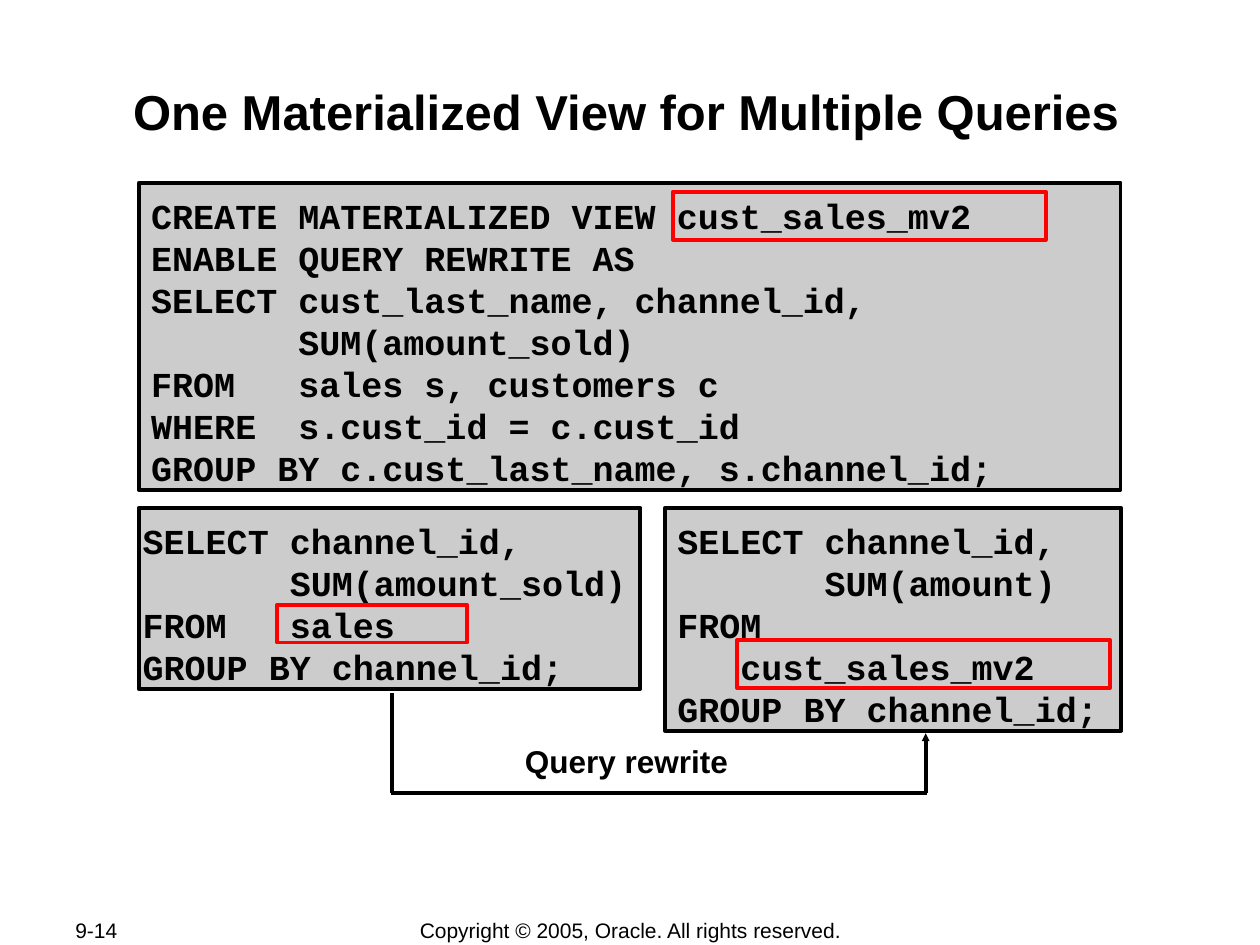
from dataclasses import dataclass

from lxml.etree import SubElement
from pptx import Presentation
from pptx.dml.color import RGBColor
from pptx.enum.shapes import MSO_CONNECTOR as Connector, MSO_SHAPE as Shape
from pptx.enum.text import MSO_ANCHOR as Anchor, MSO_AUTO_SIZE as AutoSize, PP_ALIGN as Align
from pptx.oxml.ns import qn
from pptx.util import Pt


@dataclass(frozen=True)
class Theme:
    ink: RGBColor = RGBColor(0, 0, 0)
    panel: RGBColor = RGBColor(0xCC, 0xCC, 0xCC)
    accent: RGBColor = RGBColor(0xFF, 0, 0)
    sans: str = "Arial"
    mono: str = "Courier New"
    title: float = 28
    code: float = 20
    label: float = 18
    footer: float = 12
    leading: float = 24
    line: float = 2.25


T = Theme()

VIEW_CODE = """CREATE MATERIALIZED VIEW cust_sales_mv2
ENABLE QUERY REWRITE AS
SELECT cust_last_name, channel_id,
       SUM(amount_sold)
FROM   sales s, customers c
WHERE  s.cust_id = c.cust_id
GROUP BY c.cust_last_name, s.channel_id;"""

QUERY_CODE = """SELECT channel_id,
       SUM(amount_sold)
FROM   sales
GROUP BY channel_id;"""

REWRITTEN_CODE = """SELECT channel_id,
       SUM(amount)
FROM
   cust_sales_mv2
GROUP BY channel_id;"""


def setup_frame(tf, insets, anchor=Anchor.TOP, wrap=True):
    tf.auto_size = AutoSize.NONE
    tf.word_wrap = wrap
    tf.vertical_anchor = anchor
    tf.margin_left, tf.margin_top, tf.margin_right, tf.margin_bottom = map(Pt, insets)


def add_run(p, text, font, size, bold=True):
    r = p.add_run()
    r.text = text
    r.font.name, r.font.size, r.font.bold = font, Pt(size), bold
    r.font.color.rgb = T.ink


def add_title(s, box, text):
    sp = s.shapes.title
    sp.left, sp.top, sp.width, sp.height = map(Pt, box)
    setup_frame(sp.text_frame, (0.7, 4.5, 0.7, 0.7))
    p = sp.text_frame.paragraphs[0]
    p.alignment = Align.CENTER
    add_run(p, text, T.sans, T.title)


def add_label(s, box, text, size, align, insets, anchor=Anchor.TOP, bold=True):
    tf = s.shapes.add_textbox(*map(Pt, box)).text_frame
    setup_frame(tf, insets, anchor, wrap=False)
    p = tf.paragraphs[0]
    p.alignment = align
    add_run(p, text, T.sans, size, bold)


def add_rect(s, box, line, fill=None):
    sp = s.shapes.add_shape(Shape.RECTANGLE, *map(Pt, box))
    sp.shadow.inherit = False
    if fill is None:
        sp.fill.background()
    else:
        sp.fill.solid()
        sp.fill.fore_color.rgb = fill
    sp.line.color.rgb, sp.line.width = line, Pt(T.line)
    return sp


def code_panel(s, x, y, w, code, highlight, inset=7.2):
    lines = code.split("\n")
    h = T.leading * len(lines) + 7.4
    tf = add_rect(s, (x, y, w, h), T.ink, T.panel).text_frame
    setup_frame(tf, (inset, 6.5, inset, 0.7))
    for i, text in enumerate(lines):
        p = tf.add_paragraph() if i else tf.paragraphs[0]
        p.alignment = Align.LEFT
        p.line_spacing = Pt(T.leading)
        add_run(p, text, T.mono, T.code)
    dx, dy, hw, hh = highlight
    add_rect(s, (x + dx, y + dy, hw, hh), T.accent)


def add_line(s, start, end, arrow=False):
    c = s.shapes.add_connector(Connector.STRAIGHT, *map(Pt, (*start, *end)))
    c.line.color.rgb, c.line.width = T.ink, Pt(T.line)
    if arrow:
        SubElement(c.line._get_or_add_ln(), qn("a:tailEnd"), type="triangle", w="sm", len="sm")
    SubElement(c._element.spPr, qn("a:effectLst"))


def rewrite_arrow(s, x, y, w, h, rise):
    bottom = y + h
    add_line(s, (x + w, bottom), (x + w, bottom - rise), arrow=True)
    add_line(s, (x + w + 0.7, bottom), (x - 0.7, bottom))
    add_line(s, (x, bottom), (x, y))
    add_label(s, (x + 75, y + 27.4, 118, 23.8), "Query rewrite", T.label,
              Align.CENTER, (0.7,) * 4)


def footer(s, x, y):
    insets = (7.2, 3.6, 7.2, 3.6)
    add_label(s, (x, y, 76.3, 14.6), "9-14", T.footer, Align.LEFT,
              insets, Anchor.MIDDLE, False)
    add_label(s, (x + 162.7, y, 323.3, 15), "Copyright © 2005, Oracle. All rights reserved.",
              T.footer, Align.CENTER, insets, Anchor.MIDDLE, False)


def main():
    prs = Presentation()
    prs.slide_width, prs.slide_height = Pt(720), Pt(540)
    s = prs.slides.add_slide(prs.slide_layouts[5])
    footer(s, 36, 524.2)
    rewrite_arrow(s, 224, 396, 305, 57, 34)
    add_title(s, (69.8, 41.8, 576, 69.1), "One Materialized View for Multiple Queries")
    code_panel(s, 79.3, 104.5, 561, VIEW_CODE, (305.2, 5, 213.1, 27.4))
    code_panel(s, 79.3, 290.2, 286.6, QUERY_CODE, (79, 55.4, 108.7, 21.6), inset=2.2)
    code_panel(s, 380, 290.2, 260.6, REWRITTEN_CODE, (41.2, 75.6, 213.1, 27.4))
    prs.save("out.pptx")


if __name__ == "__main__":
    main()
